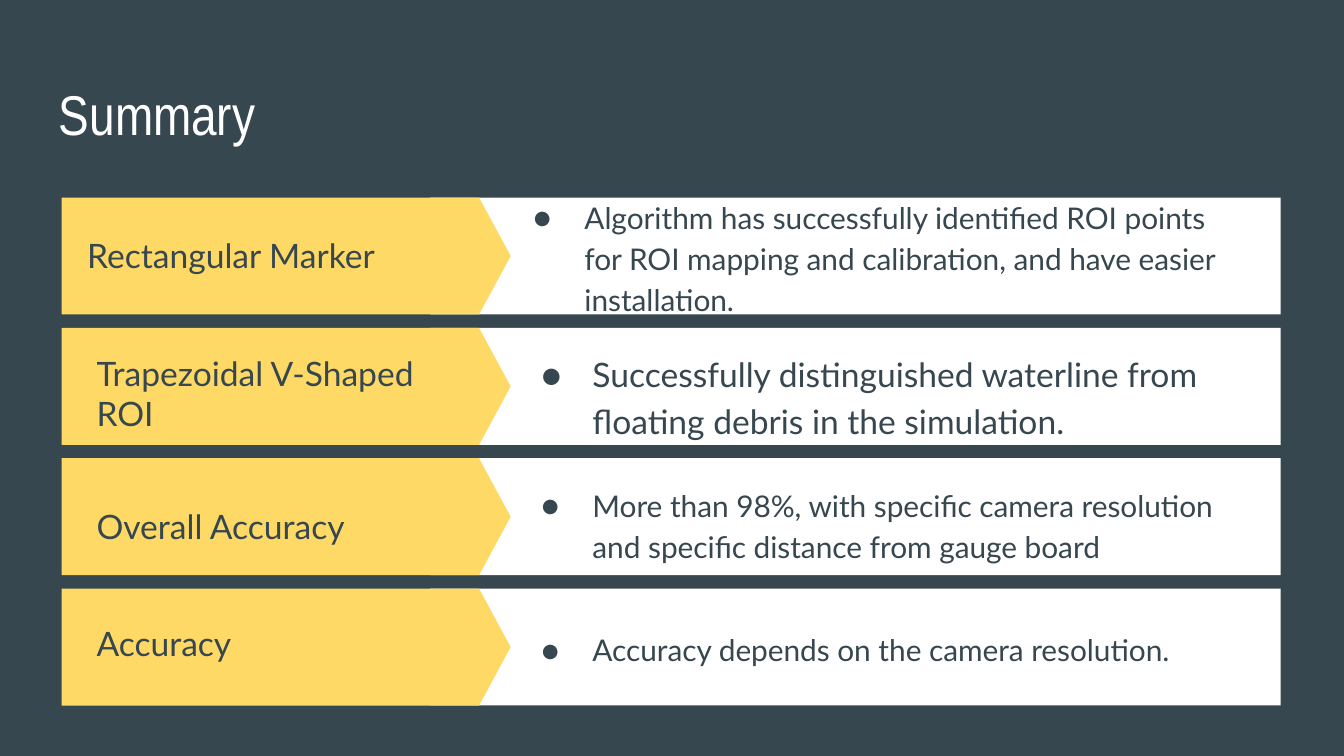
"""Build a summary slide with four labelled findings."""
from lxml import etree
from pptx import Presentation
from pptx.dml.color import RGBColor
from pptx.enum.shapes import MSO_SHAPE
from pptx.enum.text import MSO_ANCHOR, PP_ALIGN
from pptx.oxml.ns import qn
from pptx.util import Inches, Pt

RECT, ARROW = MSO_SHAPE.RECTANGLE, MSO_SHAPE.PENTAGON
TOP, MIDDLE, LEFT = MSO_ANCHOR.TOP, MSO_ANCHOR.MIDDLE, PP_ALIGN.LEFT

TITLE = "Summary"
ROWS = [
    dict(label="Rectangular Marker", label_at=(0.55, -0.01), detail_at=(3.75, 0), size="body",
         detail="Algorithm has successfully identified ROI points for ROI mapping "
                "and calibration, and have easier installation."),
    dict(label="Trapezoidal V-Shaped ROI", label_at=(0.62, 0.05), detail_at=(3.81, 0.06), size="label",
         detail="Successfully distinguished waterline from floating debris in the simulation."),
    dict(label="Overall Accuracy", label_at=(0.62, 0.07), detail_at=(3.81, 0.05), size="body",
         detail="More than 98%, with specific camera resolution "
                "and specific distance from gauge board"),
    dict(label="Accuracy", label_at=(0.62, -0.03), detail_at=(3.81, 0), size="body",
         detail="Accuracy depends on the camera resolution."),
]
THEME = dict(dark="37474F", white="FFFFFF", yellow="FFD966",
             heading_font="Arial Narrow", body_font="Lato",
             title=30, label=18, body=16)
WIDTH = 10
HEIGHT = WIDTH * 9 / 16
ROW_TOP, ROW_BOTTOM, ROW_HEIGHT = 1.47, 5.25, 0.87
ROW_PITCH = (ROW_BOTTOM - ROW_HEIGHT - ROW_TOP) / (len(ROWS) - 1)
PANEL_X, PANEL_W = 3.2, 6.33
ARROW_X, ARROW_W, ARROW_POINT = 0.46, 3.34, 0.27
LABEL_W, DETAIL_W = 2.65, 5.59
INSET, BULLET_MARGIN, BULLET_HANG = 0.1, 0.5, 0.38


def rgb(name):
    """Return a theme colour."""
    return RGBColor.from_string(THEME[name])


def add_bullet(p):
    """Give a paragraph a hanging round bullet."""
    p.line_spacing = 1.15
    pPr = p._p.get_or_add_pPr()
    pPr.set("marL", str(Inches(BULLET_MARGIN)))
    pPr.set("indent", str(-Inches(BULLET_HANG)))
    colour = etree.SubElement(pPr, qn("a:buClr"))
    etree.SubElement(colour, qn("a:srgbClr"), val=THEME["dark"])
    etree.SubElement(pPr, qn("a:buFont"), typeface=THEME["body_font"])
    etree.SubElement(pPr, qn("a:buChar"), char="●")


def add_text(slide, text, *, box, size="label", font="body_font", colour="dark",
             anchor=MIDDLE, bullet=False):
    """Add a wrapped text box in the given format."""
    tf = slide.shapes.add_textbox(*map(Inches, box)).text_frame
    tf.word_wrap = True
    tf.vertical_anchor = anchor
    tf.margin_left = tf.margin_right = tf.margin_top = tf.margin_bottom = Inches(INSET)
    p = tf.paragraphs[0]
    p.alignment = LEFT
    if bullet:
        add_bullet(p)
    r = p.add_run()
    r.text = text
    r.font.name = THEME[font]
    r.font.size = Pt(THEME[size])
    r.font.color.rgb = rgb(colour)


def add_block(slide, kind, *, box, colour):
    """Add a plain filled shape."""
    sp = slide.shapes.add_shape(kind, *map(Inches, box))
    sp.shadow.inherit = False
    sp.fill.solid()
    sp.fill.fore_color.rgb = rgb(colour)
    sp.line.fill.background()
    return sp


def add_row(slide, index, row):
    """Add one arrow label with its finding."""
    y = ROW_TOP + index * ROW_PITCH
    add_block(slide, RECT, box=(PANEL_X, y, PANEL_W, ROW_HEIGHT), colour="white")
    arrow = add_block(slide, ARROW, box=(ARROW_X, y, ARROW_W, ROW_HEIGHT), colour="yellow")
    arrow.adjustments[0] = ARROW_POINT
    x, dy = row["label_at"]
    add_text(slide, row["label"], box=(x, y + dy, LABEL_W, ROW_HEIGHT))
    x, dy = row["detail_at"]
    add_text(slide, row["detail"], box=(x, y + dy, DETAIL_W, ROW_HEIGHT),
             size=row["size"], bullet=True)


def main():
    """Assemble and save the slide."""
    prs = Presentation()
    prs.slide_width, prs.slide_height = Inches(WIDTH), Inches(HEIGHT)
    slide = prs.slides.add_slide(prs.slide_layouts[6])
    slide.background.fill.solid()
    slide.background.fill.fore_color.rgb = rgb("dark")
    add_text(slide, TITLE, box=(0.34, 0.49, 9.32, 0.63), size="title",
             font="heading_font", colour="white", anchor=TOP)
    for index, row in enumerate(ROWS):
        add_row(slide, index, row)
    prs.save("out.pptx")


if __name__ == "__main__":
    main()
